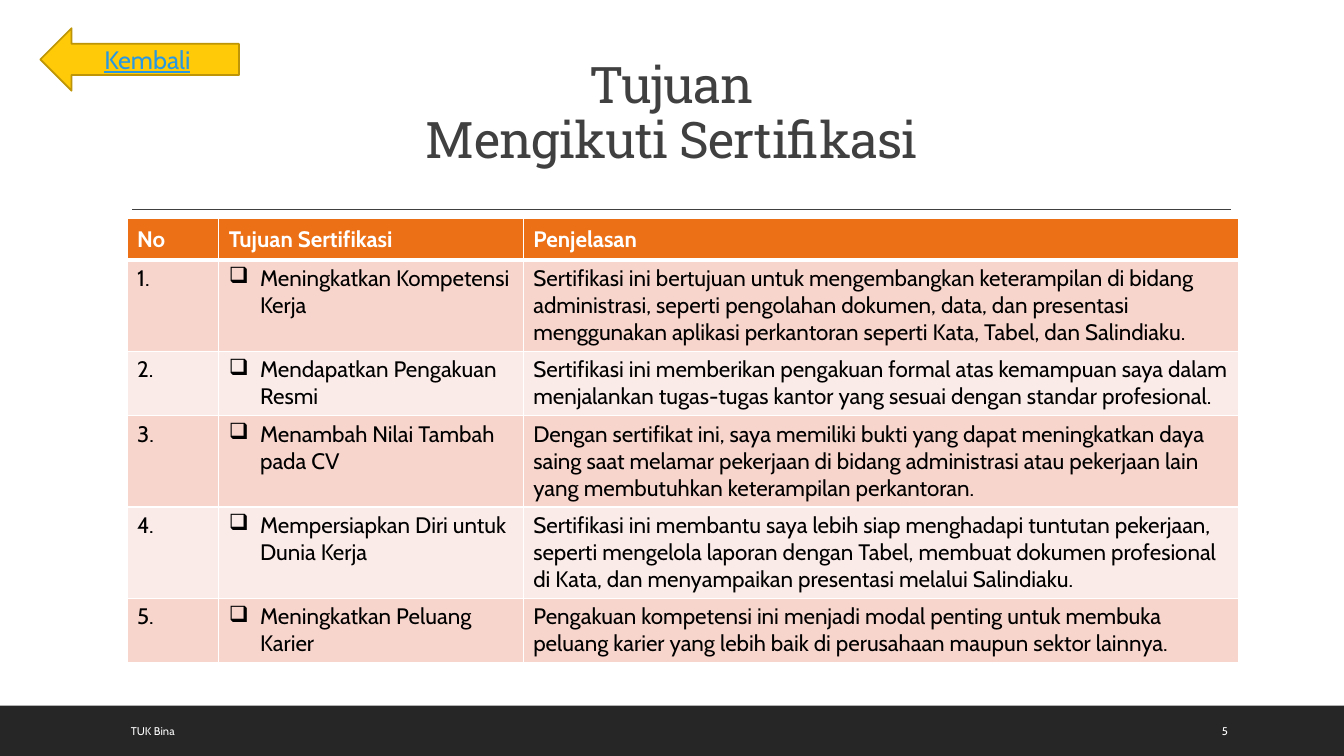
from lxml.etree import SubElement
from pptx import Presentation
from pptx.dml.color import RGBColor
from pptx.enum.shapes import MSO_CONNECTOR, MSO_SHAPE
from pptx.enum.text import MSO_ANCHOR, MSO_AUTO_SIZE, PP_ALIGN
from pptx.oxml.ns import qn
from pptx.util import Inches, Pt

BODY_FONT = "Cabin"
COLUMN_WIDTHS = [0.91, 3.02, 7.1]
ROW_HEIGHT = 0.41
HEADINGS = ["No", "Tujuan Sertifikasi", "Penjelasan"]
GOALS = [
    ("Meningkatkan Kompetensi Kerja",
     "Sertifikasi ini bertujuan untuk mengembangkan keterampilan di bidang administrasi, "
     "seperti pengolahan dokumen, data, dan presentasi menggunakan aplikasi perkantoran "
     "seperti Kata, Tabel, dan Salindiaku."),
    ("Mendapatkan Pengakuan Resmi",
     "Sertifikasi ini memberikan pengakuan formal atas kemampuan saya dalam menjalankan "
     "tugas-tugas kantor yang sesuai dengan standar profesional."),
    ("Menambah Nilai Tambah pada CV",
     "Dengan sertifikat ini, saya memiliki bukti yang dapat meningkatkan daya saing saat "
     "melamar pekerjaan di bidang administrasi atau pekerjaan lain yang membutuhkan "
     "keterampilan perkantoran."),
    ("Mempersiapkan Diri untuk Dunia Kerja",
     "Sertifikasi ini membantu saya lebih siap menghadapi tuntutan pekerjaan, seperti "
     "mengelola laporan dengan Tabel, membuat dokumen profesional di Kata, dan "
     "menyampaikan presentasi melalui Salindiaku."),
    ("Meningkatkan Peluang Karier",
     "Pengakuan kompetensi ini menjadi modal penting untuk membuka peluang karier yang "
     "lebih baik di perusahaan maupun sektor lainnya."),
]


def color(value):
    return RGBColor.from_string(value)


def write(frame, text, size, text_color, anchor=MSO_ANCHOR.MIDDLE, align=None, **formats):
    """Fill a text frame with one formatted paragraph and return it."""
    frame.word_wrap = True
    frame.vertical_anchor = anchor
    para = frame.paragraphs[0]
    para.text = text
    para.alignment = align
    formats = {"name": BODY_FONT, "size": Pt(size), **formats}
    for span in para.runs:
        for name, value in formats.items():
            setattr(span.font, name, value)
        span.font.color.rgb = color(text_color)
    return para


def add_label(page, text, left, top, width, height):
    box = page.shapes.add_textbox(*map(Inches, (left, top, width, height)))
    write(box.text_frame, text, 8, "FFFFFF")


def add_block(page, kind, at, fill, line=None):
    block = page.shapes.add_shape(kind, *map(Inches, at))
    block.shadow.inherit = False
    block.fill.solid()
    block.fill.fore_color.rgb = color(fill)
    if line:
        block.line.color.rgb = color(line)
        block.line.width = Pt(1.25)
    else:
        block.line.fill.background()
    return block


def add_rule(page, start, end, line):
    rule = page.shapes.add_connector(MSO_CONNECTOR.STRAIGHT, *map(Inches, start + end))
    rule.line.color.rgb = color(line)
    rule.line.width = Pt(1)
    SubElement(rule.element.spPr, qn("a:effectLst"))


def set_title(page, lines):
    title = page.shapes.title
    title.left, title.top, title.width, title.height = map(Inches, (2.48, 0.14, 8.37, 1.59))
    frame = title.text_frame
    frame.auto_size = MSO_AUTO_SIZE.NONE
    para = write(frame, "\v".join(lines), 36, "404040", MSO_ANCHOR.BOTTOM,
                 PP_ALIGN.CENTER, name="Roboto Slab")
    para.line_spacing = 0.9
    for span in para.runs:
        span.font._element.set("spc", "-50")


def style_cell(cell, fill, bottom_width):
    # Borders come before the fill in the cell properties
    properties = cell._tc.get_or_add_tcPr()
    widths = {"a:lnL": 1, "a:lnR": 1, "a:lnT": 1, "a:lnB": bottom_width}
    for tag, width in widths.items():
        border = SubElement(properties, qn(tag), w=str(Pt(width)))
        SubElement(SubElement(border, qn("a:solidFill")), qn("a:srgbClr"), val="FFFFFF")
    cell.fill.solid()
    cell.fill.fore_color.rgb = color(fill)


def add_bullet(para):
    properties = para._p.get_or_add_pPr()
    indent = Inches(0.31)
    properties.set("marL", str(indent))
    properties.set("indent", str(-indent))
    SubElement(properties, qn("a:buChar"), char="❑")


def add_goal_table(page):
    rows = [HEADINGS] + [(f"{number}.", *goal) for number, goal in enumerate(GOALS, 1)]
    table = page.shapes.add_table(
        len(rows), len(HEADINGS), Inches(1.26), Inches(2.17),
        Inches(sum(COLUMN_WIDTHS)), Inches(ROW_HEIGHT * len(rows))).table
    for column, width in zip(table.columns, COLUMN_WIDTHS):
        column.width = Inches(width)
    for r, texts in enumerate(rows):
        header = r == 0
        fill = "EC7016" if header else ("FBEBE8", "F8D5CC")[r % 2]
        for c, text in enumerate(texts):
            cell = table.cell(r, c)
            style_cell(cell, fill, 3 if header else 1)
            para = write(cell.text_frame, text, 16, "FFFFFF" if header else "000000",
                         bold=header)
            cell.vertical_anchor = MSO_ANCHOR.MIDDLE if header else MSO_ANCHOR.TOP
            if c == 1 and not header:
                add_bullet(para)


def main():
    deck = Presentation()
    deck.slide_width, deck.slide_height = Inches(13.33), Inches(7.5)
    page = deck.slides.add_slide(deck.slide_layouts[5])

    # Footer bar and title rule
    add_block(page, MSO_SHAPE.RECTANGLE, (0, 7, 13.33, 0.5), "262626")
    add_rule(page, (1.31, 2.08), (12.21, 2.08), "404040")

    # Title and table
    set_title(page, ["Tujuan", "Mengikuti Sertifikasi"])
    add_goal_table(page)

    # Footer texts
    add_label(page, "TUK Bina", 1.2, 7.05, 7.46, 0.4)
    add_label(page, "5", 12.02, 7.05, 0.85, 0.4)

    # Back button
    arrow = add_block(page, MSO_SHAPE.LEFT_ARROW, (0.4, 0.28, 1.97, 0.62), "FFCA08", "BD9506")
    write(arrow.text_frame, "Kembali", 18, "2998E3", align=PP_ALIGN.CENTER, underline=True)

    deck.save("out.pptx")


if __name__ == "__main__":
    main()
